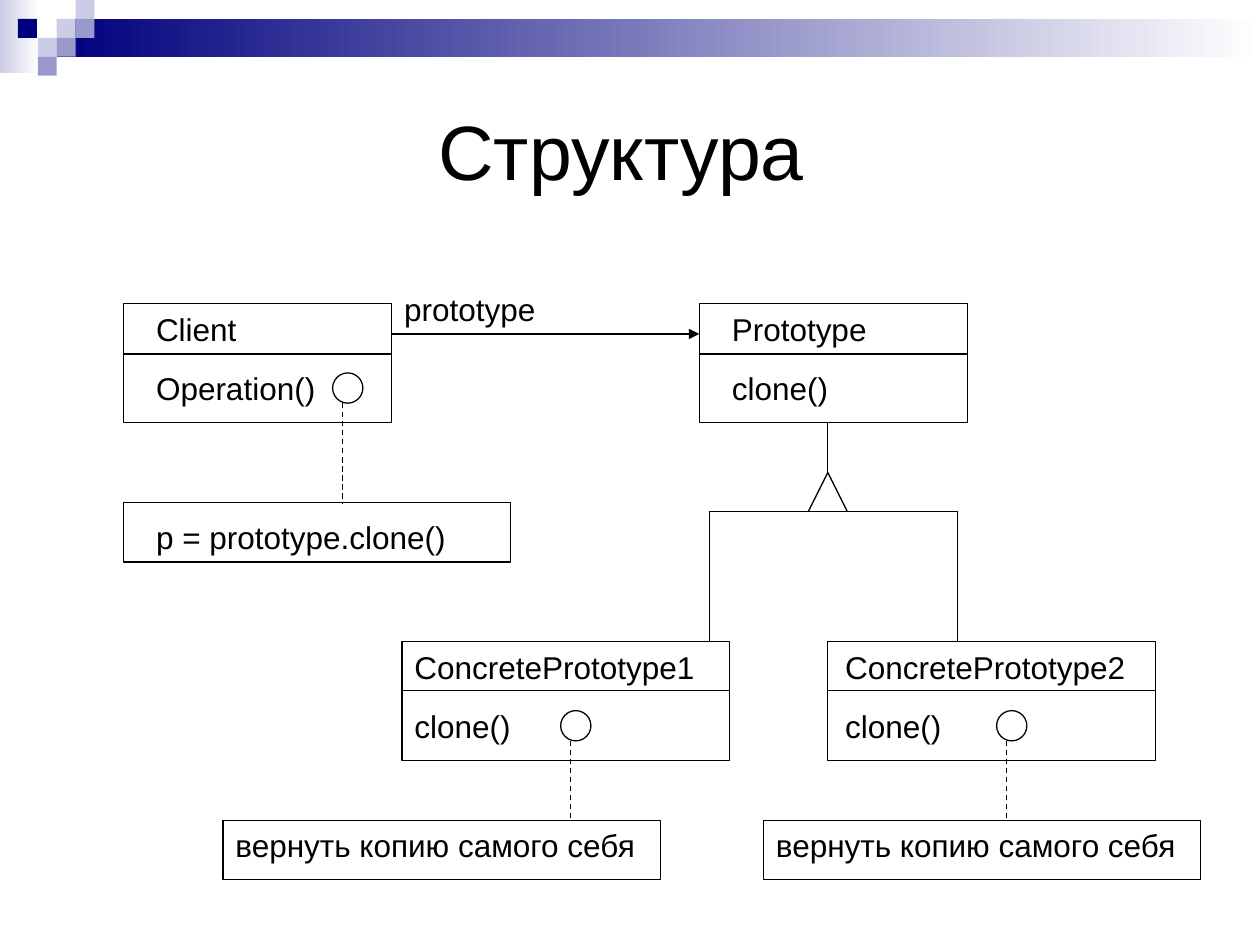
from dataclasses import dataclass
from typing import NamedTuple

from lxml import etree
from pptx import Presentation, util as u
from pptx.dml.color import RGBColor
from pptx.enum import dml, shapes, text
from pptx.oxml.ns import qn

CELL = 0.1  # inches; the page is a grid of 100 columns by 75 rows
COLUMNS, ROWS = 100, 75


@dataclass(frozen=True)
class Theme:
    font: str = "Arial"
    ink: str = "000000"
    paper: str = "FFFFFF"
    navy: str = "00007D"
    violet: str = "9999CC"
    lilac: str = "CCCCE6"
    title_size: float = 44
    label_size: float = 18
    line_width: float = 0.75


class Area(NamedTuple):
    column: float
    row: float
    width: float
    height: float


class Point(NamedTuple):
    column: float
    row: float


@dataclass(frozen=True)
class ClassBox:
    name: str
    method: str
    area: Area
    divider: float  # rows below the top
    indent: float  # columns from the left edge to the labels
    label_width: float
    method_width: float = 18.1


@dataclass(frozen=True)
class Note:
    words: str
    area: Area
    label: Area
    circle: Point  # top left of the circle on the method


THEME = Theme()
LABEL_HEIGHT = 4
CIRCLE = 2.4

CLASSES = [
    ClassBox("Client", "Operation()", Area(9.8, 24.1, 21.3, 9.45), 4, 1.6, 11),
    ClassBox("Prototype", "clone()", Area(55.5, 24.1, 21.3, 9.45), 4, 1.6, 17.3),
    ClassBox("ConcretePrototype1", "clone()", Area(31.9, 50.9, 26, 9.45), 3.9, 0, 33.9),
    ClassBox("ConcretePrototype2", "clone()", Area(65.7, 50.9, 26, 9.45), 3.9, 0.4, 33.9),
]
NOTES = [
    Note("p = prototype.clone()", Area(9.8, 39.9, 30.7, 4.7),
         Area(11.4, 40.6, 31.5, LABEL_HEIGHT), Point(26.4, 29.6)),
    *(Note("вернуть копию самого себя", Area(column, 65.1, 34.7, 4.7),
           Area(column, 65.1, 39.4, LABEL_HEIGHT), Point(circle, 56.4))
      for column, circle in ((17.7, 44.5), (60.6, 79.1))),
]


def grid(count: float) -> int:
    return u.Inches(count * CELL)


def colour(value: str) -> RGBColor:
    return RGBColor.from_string(value)


def add_block(page, area: Area, start: str, end: str | None = None) -> None:
    """A borderless block, plain or fading from start (left) to end (right)."""
    block = page.shapes.add_shape(shapes.MSO_SHAPE.RECTANGLE, *map(grid, area))
    block.shadow.inherit = False
    block.line.fill.background()
    if end is None:
        block.fill.solid()
        block.fill.fore_color.rgb = colour(start)
        return
    block.fill.gradient()
    block.fill.gradient_angle = 180
    for stop, value, position in zip(block.fill.gradient_stops, (end, start), (0, 1)):
        stop.color.rgb = colour(value)
        stop.position = position


def add_outline(page, area: Area, kind=shapes.MSO_SHAPE.RECTANGLE) -> None:
    box = page.shapes.add_shape(kind, *map(grid, area))
    box.shadow.inherit = False
    box.fill.background()
    box.line.color.rgb = colour(THEME.ink)
    box.line.width = u.Pt(THEME.line_width)


def add_text(page, words: str, area: Area, *, size: float = THEME.label_size,
             align=text.PP_ALIGN.LEFT, anchor=text.MSO_ANCHOR.TOP,
             grow: bool = True) -> None:
    frame = page.shapes.add_textbox(*map(grid, area)).text_frame
    frame.word_wrap = True
    frame.vertical_anchor = anchor
    if grow:
        frame.auto_size = text.MSO_AUTO_SIZE.SHAPE_TO_FIT_TEXT
    para = frame.paragraphs[0]
    para.alignment = align
    span = para.add_run()
    span.text = words
    span.font.name = THEME.font
    span.font.size = u.Pt(size)
    span.font.color.rgb = colour(THEME.ink)


def add_line(page, start: Point, end: Point, *, dashed: bool = False,
             arrow: bool = False) -> None:
    line = page.shapes.add_connector(shapes.MSO_CONNECTOR.STRAIGHT,
                                     *map(grid, (*start, *end)))
    line.line.color.rgb = colour(THEME.ink)
    line.line.width = u.Pt(THEME.line_width)
    if dashed:
        line.line.dash_style = dml.MSO_LINE.DASH
    properties = line._element.spPr
    if arrow:
        etree.SubElement(properties.find(qn("a:ln")), qn("a:tailEnd"), type="triangle")
    etree.SubElement(properties, qn("a:effectLst"))


def draw_banner(page) -> None:
    add_block(page, Area(0, 0, 3.1, 5.8), THEME.lilac, THEME.paper)
    add_block(page, Area(4.5, 1.5, COLUMNS - 4.5, 3), THEME.navy, THEME.paper)
    tile = 1.5
    mosaic = [(3, 1, THEME.lilac), (4, 0, THEME.lilac), (4, 1, THEME.violet),
              (2, 2, THEME.lilac), (0.95, 1, THEME.navy), (3, 2, THEME.violet),
              (2, 3, THEME.violet)]
    for column, row, fill in mosaic:
        add_block(page, Area(column * tile, row * tile, tile, tile), fill)


def draw_class(page, item: ClassBox) -> None:
    left, top, width, _ = item.area
    add_outline(page, item.area)
    middle = top + item.divider
    add_line(page, Point(left, middle), Point(left + width, middle))
    labels = left + item.indent
    add_text(page, item.name, Area(labels, top, item.label_width, LABEL_HEIGHT))
    add_text(page, item.method, Area(labels, top + 4.7, item.method_width, LABEL_HEIGHT))


def draw_note(page, note: Note) -> None:
    add_outline(page, note.area)
    add_text(page, note.words, note.label)
    add_outline(page, Area(*note.circle, CIRCLE, CIRCLE), shapes.MSO_SHAPE.OVAL)
    column = note.circle.column + CIRCLE / 3
    add_line(page, Point(column, note.circle.row + CIRCLE),
             Point(column, note.area.row), dashed=True)


def draw_inheritance(page) -> None:
    centre, apex, base = 65.7, 37.5, 40.6
    left, right = 56.3, 76
    add_line(page, Point(centre, 33.55), Point(centre, apex))
    add_line(page, Point(left, base), Point(right, base))
    for side in (-1.55, 1.55):
        add_line(page, Point(centre, apex), Point(centre + side, base))
    for column in (left, right):
        add_line(page, Point(column, base), Point(column, 50.9))


def main() -> None:
    deck = Presentation()
    deck.slide_width, deck.slide_height = grid(COLUMNS), grid(ROWS)
    page = deck.slides.add_slide(deck.slide_layouts[6])

    # Banner and title
    draw_banner(page)
    add_text(page, "Структура", Area(4.3, 4.4, 90, 15), size=THEME.title_size,
             align=text.PP_ALIGN.CENTER, anchor=text.MSO_ANCHOR.MIDDLE, grow=False)

    # Classes and their notes
    for item in CLASSES:
        draw_class(page, item)
    for note in NOTES:
        draw_note(page, note)

    # Relations between classes
    add_line(page, Point(31.1, 26.5), Point(55.5, 26.5), arrow=True)
    add_text(page, "prototype", Area(31.1, 22.5, 17.3, LABEL_HEIGHT))
    draw_inheritance(page)

    deck.save("out.pptx")


if __name__ == "__main__":
    main()
